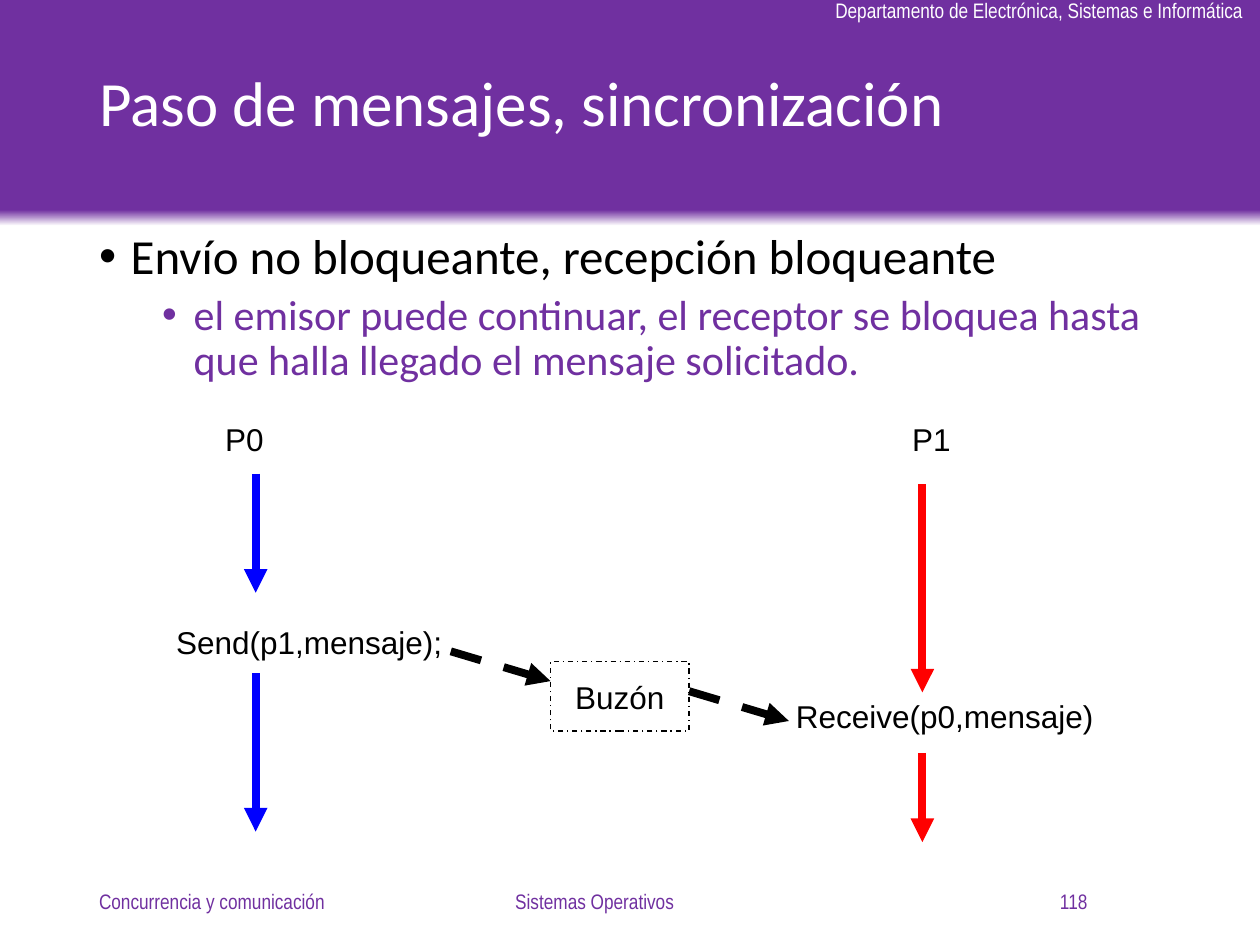
import pptx
import pptx.dml.color
import pptx.enum.dml
import pptx.enum.shapes
import pptx.enum.text
import pptx.oxml
import pptx.oxml.ns
import pptx.util

Pt = pptx.util.Pt
Align = pptx.enum.text.PP_ALIGN
Anchor = pptx.enum.text.MSO_ANCHOR
AutoSize = pptx.enum.text.MSO_AUTO_SIZE
Dash = pptx.enum.dml.MSO_LINE
RECTANGLE = pptx.enum.shapes.MSO_SHAPE.RECTANGLE
STRAIGHT = pptx.enum.shapes.MSO_CONNECTOR.STRAIGHT

PURPLE, WHITE, BLACK = "7030A0", "FFFFFF", "000000"
BLUE, RED = "0000FF", "FF0000"


def color(value):
    return pptx.dml.color.RGBColor.from_string(value)


def place(shape, left, top, width, height):
    shape.left, shape.top = Pt(left), Pt(top)
    shape.width, shape.height = Pt(width), Pt(height)


def write(para, text, size, font, ink, align=Align.LEFT):
    para.alignment = align
    span = para.add_run()
    span.text = text
    span.font.size = Pt(size)
    span.font.name = font
    span.font.color.rgb = color(ink)


def add_label(page, box, text, size, font, ink, align=Align.LEFT, wrap=False, anchor=Anchor.TOP):
    label = page.shapes.add_textbox(*map(Pt, box))
    frame = label.text_frame
    frame.word_wrap = wrap
    frame.auto_size = AutoSize.NONE if wrap else AutoSize.SHAPE_TO_FIT_TEXT
    frame.vertical_anchor = anchor
    write(frame.paragraphs[0], text, size, font, ink, align)


def add_arrow(page, start, end, ink, dash=None):
    arrow = page.shapes.add_connector(STRAIGHT, *map(Pt, start + end))
    arrow.line.color.rgb = color(ink)
    arrow.line.width = Pt(4.5)
    if dash:
        arrow.line.dash_style = dash
    pptx.oxml.ns.qn("a:tailEnd")
    line = arrow.line._get_or_add_ln()
    line.append(pptx.oxml.parse_xml(
        f'<a:tailEnd {pptx.oxml.ns.nsdecls("a")} type="triangle"/>'))
    arrow._element.spPr.append(pptx.oxml.parse_xml(
        f'<a:effectLst {pptx.oxml.ns.nsdecls("a")}/>'))


def add_header(page, left, top, width, height):
    band = page.shapes.add_shape(RECTANGLE, *map(Pt, (left, top, width, height)))
    band.shadow.inherit = False
    band.line.fill.background()
    band.fill.gradient()
    band.fill.gradient_angle = 90
    for stop, ink, position in zip(band.fill.gradient_stops, (WHITE, PURPLE), (0, 0.07)):
        stop.color.rgb = color(ink)
        stop.position = position
    band._element.getparent().insert(2, band._element)

    add_label(page, (left + width - 249.8, top - 5, 250.5, 21.8),
              "Departamento de Electrónica, Sistemas e Informática", 12, "Arial Narrow", WHITE)

    title = page.shapes.title
    place(title, left + 49.5, top + 10.8, width - 99, 100)
    frame = title.text_frame
    frame.auto_size = AutoSize.NONE
    frame.vertical_anchor = Anchor.MIDDLE
    frame.paragraphs[0].line_spacing = 0.9
    write(frame.paragraphs[0], "Paso de mensajes, sincronización", 36, "Calibri", WHITE)


def add_body(page, left, top, width, height):
    body = page.placeholders[1]
    place(body, left, top, width, height)
    frame = body.text_frame
    frame.auto_size = AutoSize.NONE
    items = [
        (0, "Envío no bloqueante, recepción bloqueante", 28, BLACK, 10, 18),
        (1, "el emisor puede continuar, el receptor se bloquea hasta que halla "
            "llegado el mensaje solicitado.", 24, PURPLE, 5, 54),
    ]
    for index, (level, text, size, ink, before, indent) in enumerate(items):
        para = frame.add_paragraph() if index else frame.paragraphs[0]
        para.level = level
        para.line_spacing = 0.9
        para.space_before = Pt(before)
        write(para, text, size, "Calibri", ink)
        properties = para._p.get_or_add_pPr()
        properties.set("marL", str(Pt(indent)))
        properties.set("indent", str(Pt(-18)))
        for tag in ('buFont {} typeface="Arial"', 'buChar {} char="•"'):
            properties.append(pptx.oxml.parse_xml(
                f'<a:{tag.format(pptx.oxml.ns.nsdecls("a"))}/>'))


def add_diagram(page, left, top):
    labels = [
        ("P0", 28, 0, 37), ("P1", 420.5, 0, 37),
        ("Send(p1,mensaje);", 0, 116, 166.3),
        ("Receive(p0,mensaje)", 354.2, 158.5, 184.3),
    ]
    for text, x, y, width in labels:
        add_label(page, (left + x, top + y, width, 28.8), text, 18, "Arial", BLACK)

    sender, receiver = 52.5, 433.5
    timeline = [
        (sender, 34.5, 102.5, BLUE), (sender, 148.5, 239, BLUE),
        (receiver, 40.5, 159.5, RED), (receiver, 194, 245, RED),
    ]
    for x, start, end, ink in timeline:
        add_arrow(page, (left + x, top + start), (left + x, top + end), ink)

    mailbox_left, mailbox_top, mailbox_width = left + 221, top + 142, 79.2
    mailbox_right = mailbox_left + mailbox_width
    mailbox = page.shapes.add_shape(
        RECTANGLE, *map(Pt, (mailbox_left, mailbox_top, mailbox_width, 39.6)))
    mailbox.shadow.inherit = False
    mailbox.fill.background()
    mailbox.line.color.rgb = color(BLACK)
    mailbox.line.width = Pt(0.75)
    mailbox.line.dash_style = Dash.DASH_DOT
    frame = mailbox.text_frame
    frame.word_wrap = False
    frame.vertical_anchor = Anchor.MIDDLE
    write(frame.paragraphs[0], "Buzón", 18, "Arial", BLACK, Align.CENTER)

    for x, y in ((mailbox_left - 57, mailbox_top - 6), (mailbox_right, mailbox_top + 16.8)):
        add_arrow(page, (x, y), (x + 57, y + 17), BLACK, Dash.DASH)


def add_footer(page, left, top, height):
    entries = [
        ("Concurrencia y comunicación", 0, 162, Align.LEFT),
        ("Sistemas Operativos", 168.8, 243, Align.CENTER),
        ("118", 417, 162, Align.RIGHT),
    ]
    for text, x, width, align in entries:
        add_label(page, (left + x, top, width, height), text, 12, "Arial Narrow", PURPLE,
                  align, True, Anchor.MIDDLE)


def main():
    deck = pptx.Presentation()
    deck.slide_width, deck.slide_height = Pt(720), Pt(540)
    page = deck.slides.add_slide(deck.slide_layouts[1])
    add_header(page, 0, 0, 720, 129)
    add_body(page, 49.5, 129, 621, 358)
    add_diagram(page, 93.6, 236.2)
    add_footer(page, 49.5, 500.5, 28.8)
    deck.save("out.pptx")


if __name__ == "__main__":
    main()
